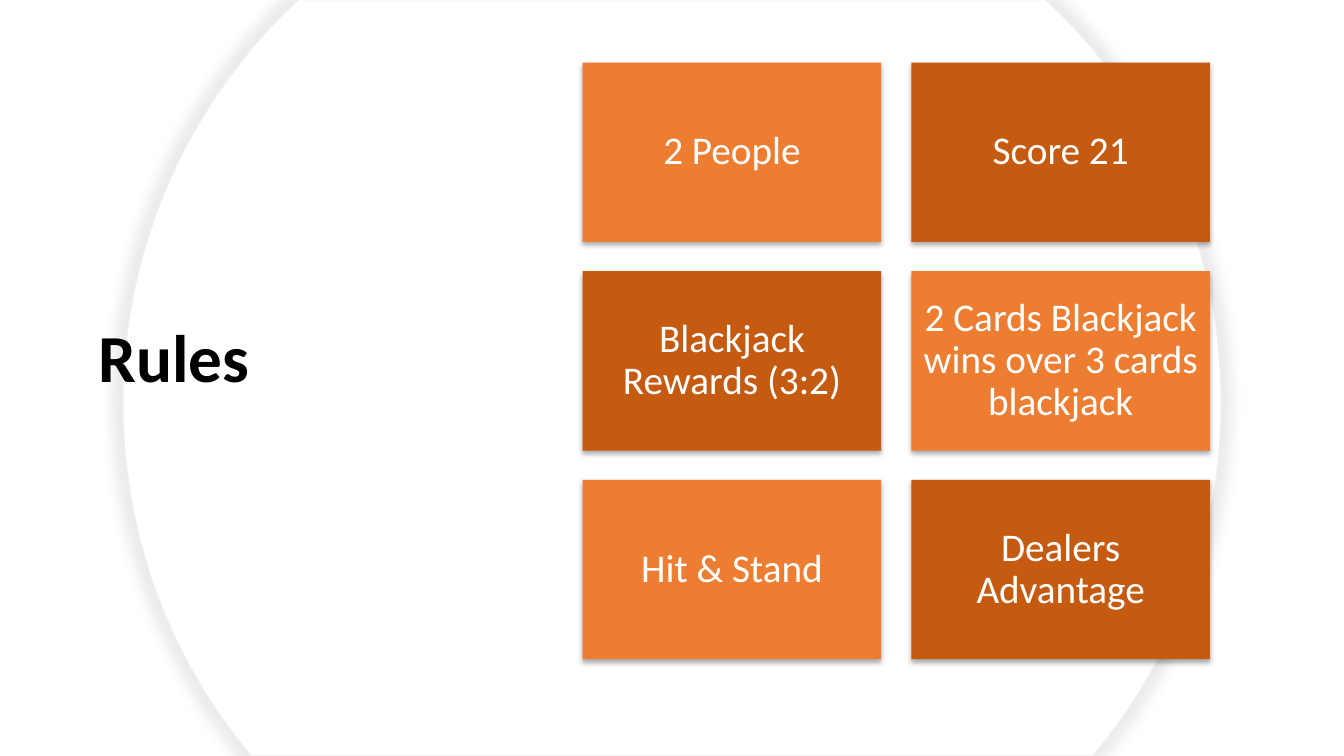
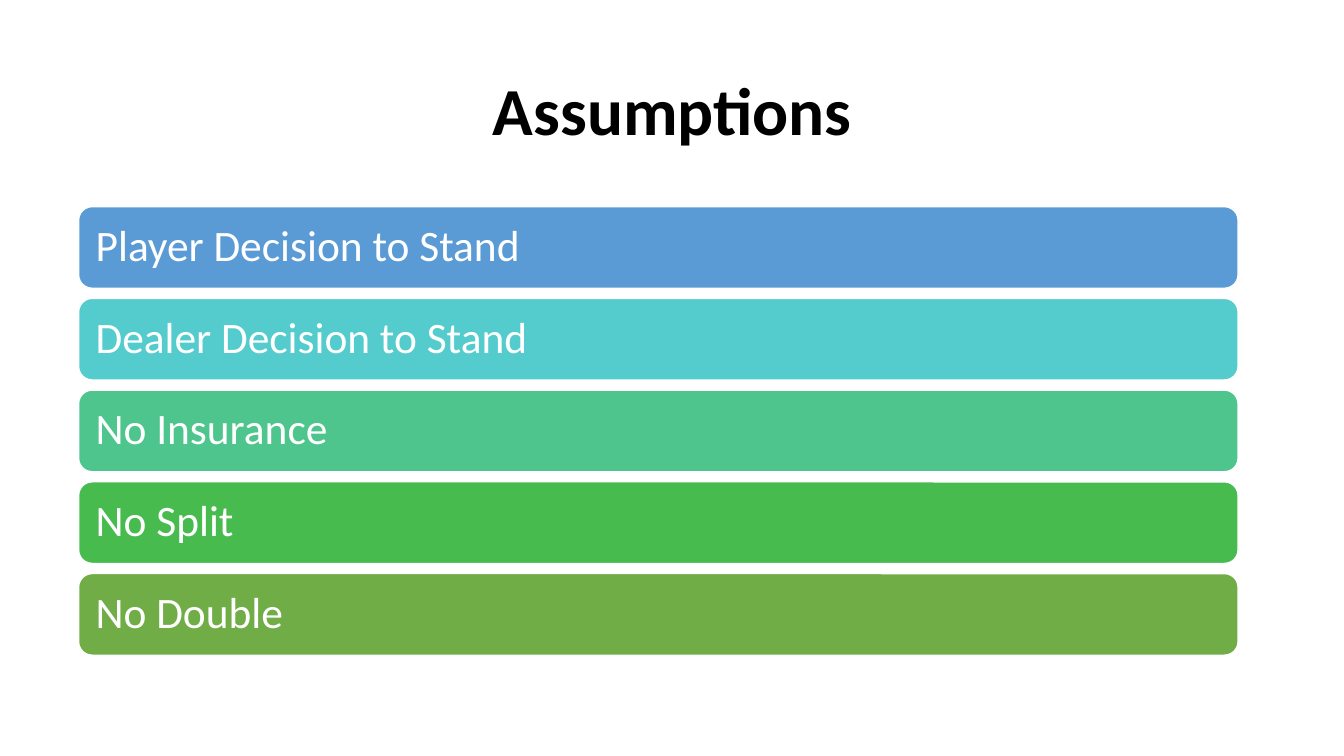
"""Build the blackjack rules and assumptions slides."""
from lxml.etree import SubElement
from pptx import Presentation
from pptx.dml.color import RGBColor
from pptx.enum.shapes import MSO_SHAPE
from pptx.enum.text import MSO_ANCHOR, PP_ALIGN
from pptx.oxml.ns import qn
from pptx.util import Inches, Pt

BLACK = RGBColor(0x00, 0x00, 0x00)
WHITE = RGBColor(0xFF, 0xFF, 0xFF)
OUTLINE_GRAY = RGBColor(0xEF, 0xEF, 0xEF)
SHADOW_GRAY = RGBColor(0xD9, 0xD9, 0xD9)
ORANGE = RGBColor(0xED, 0x7D, 0x31)
DARK_ORANGE = RGBColor(0xC5, 0x5A, 0x11)
FONT = "Calibri"
SLIDE_WIDTH, SLIDE_HEIGHT = 13.33, 7.5

RULES = [
    ["2 People", "Score 21"],
    ["Blackjack Rewards (3:2)", "2 Cards Blackjack wins over 3 cards blackjack"],
    ["Hit & Stand", "Dealers Advantage"],
]
ASSUMPTIONS = [
    ("Player Decision to Stand", RGBColor(0x5B, 0x9B, 0xD5)),
    ("Dealer Decision to Stand", RGBColor(0x54, 0xCC, 0xCD)),
    ("No Insurance", RGBColor(0x4D, 0xC5, 0x8D)),
    ("No Split", RGBColor(0x48, 0xBB, 0x4F)),
    ("No Double", RGBColor(0x70, 0xAD, 0x47)),
]
CIRCLE_RIGHT_SIDE = [
    (10.37, 0), (10.52, 0.14),
    (11.5, 1.13), (12.11, 2.49), (12.11, 3.99),
    (12.11, 5.31), (11.65, 6.52), (10.87, 7.46),
    (10.84, SLIDE_HEIGHT),
]
CIRCLE_CURVE_STARTS = (1, 4, 10, 13)


def write_text(shape, text, size, color, alignment, margin_x=0.1, margin_y=0.05, bold=False):
    frame = shape.text_frame
    frame.word_wrap = True
    frame.vertical_anchor = MSO_ANCHOR.MIDDLE
    frame.margin_left = frame.margin_right = Inches(margin_x)
    frame.margin_top = frame.margin_bottom = Inches(margin_y)
    paragraph = frame.paragraphs[0]
    paragraph.text = text
    paragraph.alignment = alignment
    paragraph.line_spacing = 0.9
    font = paragraph.font
    font.name, font.size, font.bold = FONT, Pt(size), bold
    font.color.rgb = color


def add_title(slide, text, box, alignment):
    title = slide.shapes.add_textbox(*map(Inches, box))
    write_text(title, text, 48, BLACK, alignment, bold=True)


def add_panel(slide, kind, box, fill):
    panel = slide.shapes.add_shape(kind, *map(Inches, box))
    panel.shadow.inherit = False
    panel.fill.solid()
    panel.fill.fore_color.rgb = fill
    panel.line.fill.background()
    return panel


def set_outline(shape, color, width):
    shape.line.color.rgb = color
    shape.line.width = Pt(width)


def add_shadow(shape, color, opacity, blur, distance, angle, scale=100):
    shape.shadow.inherit = False
    effects = shape._element.spPr.find(qn("a:effectLst"))
    shadow = SubElement(effects, qn("a:outerShdw"), blurRad=str(Pt(blur)),
                        dist=str(Pt(distance)), dir=str(angle * 60000),
                        sx=str(scale * 1000), sy=str(scale * 1000),
                        algn="ctr", rotWithShape="0")
    tint = SubElement(shadow, qn("a:srgbClr"), val=str(color))
    SubElement(tint, qn("a:alpha"), val=str(opacity * 1000))


def bend_segments(shape, starts):
    segments = list(shape._element.spPr.iter(qn("a:lnTo")))
    for start in starts:
        first, *others = segments[start:start + 3]
        curve = first.makeelement(qn("a:cubicBezTo"))
        first.addprevious(curve)
        for segment in (first, *others):
            curve.append(segment[0])
            segment.getparent().remove(segment)


def add_circle(slide):
    left_side = [(SLIDE_WIDTH - x, y) for x, y in reversed(CIRCLE_RIGHT_SIDE)]
    points = [(Inches(x), Inches(y)) for x, y in CIRCLE_RIGHT_SIDE + left_side]
    builder = slide.shapes.build_freeform(*points[0])
    builder.add_line_segments(points[1:], close=True)
    circle = builder.convert_to_shape()
    bend_segments(circle, CIRCLE_CURVE_STARTS)
    circle.fill.solid()
    circle.fill.fore_color.rgb = WHITE
    set_outline(circle, OUTLINE_GRAY, 0.75)
    add_shadow(circle, SHADOW_GRAY, 50, 8, 0, 0, scale=102)


def build_rules(slide):
    left, top, width, height = 5.78, 0.62, 2.96, 1.78
    column_gap, row_gap = 0.3, 0.29
    add_circle(slide)
    add_title(slide, "Rules", (0.88, 0.7, 3.59, 5.75), PP_ALIGN.LEFT)
    for row, rules in enumerate(RULES):
        for column, rule in enumerate(rules):
            box = (left + column * (width + column_gap), top + row * (height + row_gap),
                   width, height)
            fill = DARK_ORANGE if (row + column) % 2 else ORANGE
            card = add_panel(slide, MSO_SHAPE.RECTANGLE, box, fill)
            add_shadow(card, BLACK, 32, 3.5, 2.2, 90)
            write_text(card, rule, 28, WHITE, PP_ALIGN.CENTER, 0.12, 0.12)


def build_assumptions(slide):
    left, top, width, height, gap = 0.78, 2.05, 11.5, 0.81, 0.1
    add_title(slide, "Assumptions", (0.92, 0.4, 11.5, 1.45), PP_ALIGN.CENTER)
    for row, (assumption, fill) in enumerate(ASSUMPTIONS):
        box = (left, top + row * (height + gap), width, height)
        bar = add_panel(slide, MSO_SHAPE.ROUNDED_RECTANGLE, box, fill)
        set_outline(bar, WHITE, 1)
        write_text(bar, assumption, 31, WHITE, PP_ALIGN.LEFT, 0.13, 0.13)


def main():
    presentation = Presentation()
    presentation.slide_width = Inches(SLIDE_WIDTH)
    presentation.slide_height = Inches(SLIDE_HEIGHT)
    for build in (build_rules, build_assumptions):
        build(presentation.slides.add_slide(presentation.slide_layouts[6]))
    presentation.save("out.pptx")


if __name__ == "__main__":
    main()
